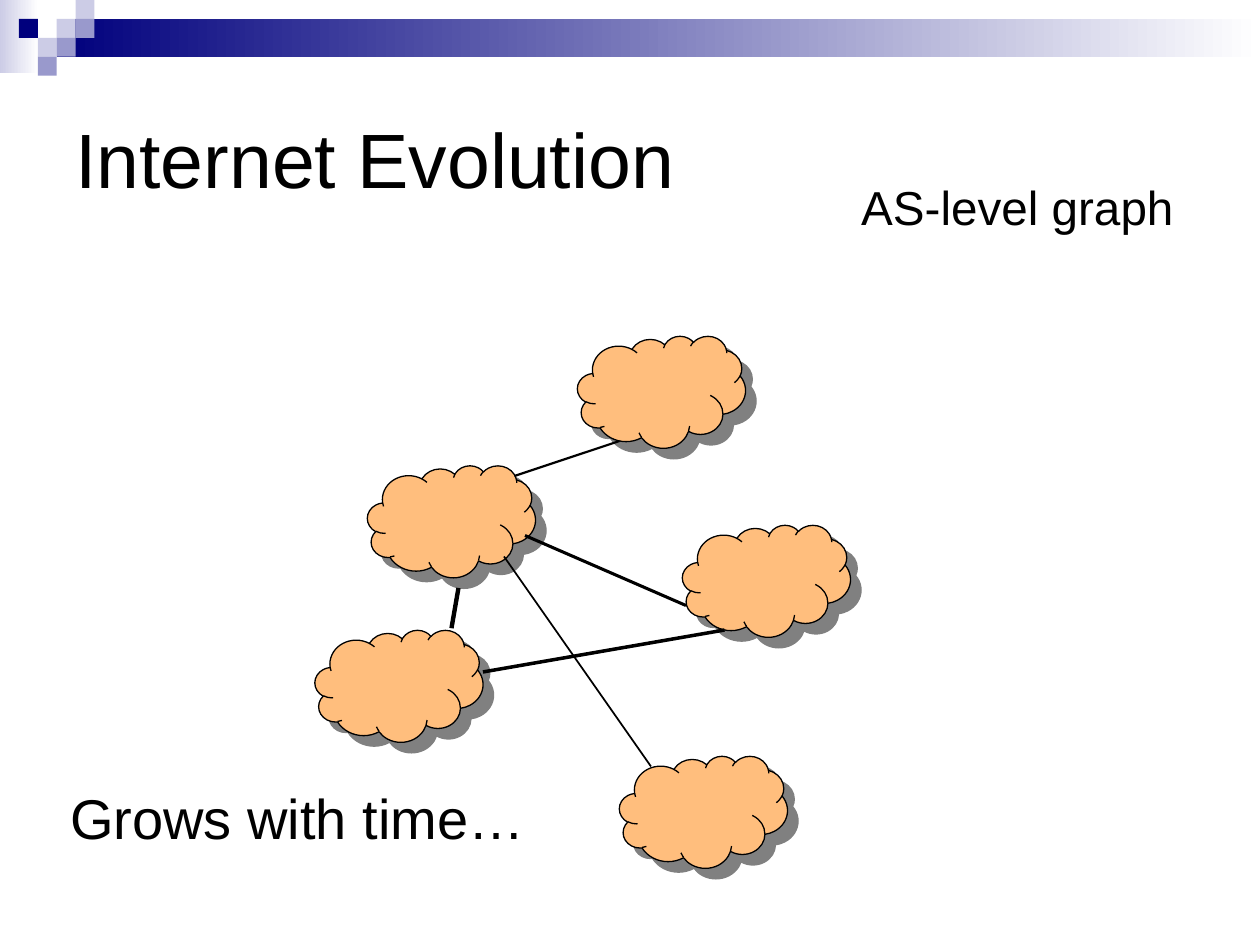
"""Build the Internet Evolution slide: an AS-level graph of linked clouds."""
from dataclasses import dataclass

from lxml.etree import SubElement
from pptx import Presentation
from pptx.dml.color import RGBColor
from pptx.enum.shapes import MSO_CONNECTOR, MSO_SHAPE
from pptx.enum.text import MSO_ANCHOR, PP_ALIGN
from pptx.oxml.ns import qn
from pptx.shapes.autoshape import Shape
from pptx.slide import Slide
from pptx.util import Pt


@dataclass(frozen=True)
class Theme:
    font: str = "Arial"
    ink: str = "000000"
    paper: str = "FFFFFF"
    navy: str = "00007D"
    lilac: str = "CCCCE6"
    violet: str = "9999CC"
    cloud: str = "FFBE7D"
    shadow: str = "808080"
    title_size: float = 44
    body_size: float = 32
    label_size: float = 27.2


@dataclass(frozen=True)
class Box:
    left: float
    top: float
    width: float
    height: float


@dataclass(frozen=True)
class Square:
    col: int
    row: int
    color: str


@dataclass(frozen=True)
class Cloud:
    left: float
    top: float


@dataclass(frozen=True)
class Link:
    x1: float
    y1: float
    x2: float
    y2: float
    weight: float


@dataclass(frozen=True)
class Label:
    text: str
    box: Box
    size: float
    align: PP_ALIGN = PP_ALIGN.LEFT
    anchor: MSO_ANCHOR = MSO_ANCHOR.TOP
    indent: int = 0
    before: float = 0
    spacing: float = 1.0


THEME = Theme()
UNIT = 10.8
CLOUD_W, CLOUD_H = 96, 64

GRADIENTS = [
    (Box(0, 0, 22, 42), THEME.lilac),
    (Box(3 * UNIT, UNIT, 720 - 3 * UNIT, 2 * UNIT), THEME.navy),
]
SQUARES = [
    Square(3, 1, THEME.lilac),
    Square(4, 0, THEME.lilac),
    Square(4, 1, THEME.violet),
    Square(2, 2, THEME.lilac),
    Square(1, 1, THEME.navy),
    Square(3, 2, THEME.violet),
    Square(2, 3, THEME.violet),
]
CLOUDS = [Cloud(210, 266), Cloud(330, 192), Cloud(180, 360), Cloud(390, 300), Cloud(354, 432)]
LINKS = [
    Link(294, 272, 354, 252, 1.25),
    Link(288, 318, 372, 438, 1),
    Link(300, 306, 392, 346, 1.75),
    Link(262, 336, 258, 359, 2.5),
    Link(276, 384, 414, 360, 2),
]
LABELS = [
    Label("Internet Evolution", Box(36, 36, 648, 108), THEME.title_size,
          anchor=MSO_ANCHOR.MIDDLE),
    Label("Grows with time…", Box(6, 444, 348, 84), THEME.body_size, indent=27, before=8),
    Label("AS-level graph", Box(444, 102, 252, 42), THEME.label_size,
          align=PP_ALIGN.CENTER, indent=23, before=8, spacing=0.9),
]


def rgb(color: str) -> RGBColor:
    """Turn a hex string into a colour."""
    return RGBColor.from_string(color)


def add_preset(s: Slide, kind: MSO_SHAPE, box: Box) -> Shape:
    """Add a preset shape without outline or shadow."""
    sp = s.shapes.add_shape(kind, Pt(box.left), Pt(box.top), Pt(box.width), Pt(box.height))
    sp.shadow.inherit = False
    sp.line.fill.background()
    return sp


def add_gradient(s: Slide, box: Box, color: str) -> None:
    """Add a rectangle that fades from a colour to the paper."""
    fill = add_preset(s, MSO_SHAPE.RECTANGLE, box).fill
    fill.gradient()
    fill.gradient_angle = 0
    for stop, tint in zip(fill.gradient_stops, (color, THEME.paper)):
        stop.color.rgb = rgb(tint)


def add_square(s: Slide, sq: Square) -> None:
    """Add one square of the corner mosaic."""
    box = Box(sq.col * UNIT, sq.row * UNIT, UNIT, UNIT)
    sp = add_preset(s, MSO_SHAPE.RECTANGLE, box)
    sp.fill.solid()
    sp.fill.fore_color.rgb = rgb(sq.color)


def add_cloud(s: Slide, cloud: Cloud) -> None:
    """Add a network cloud with a hard diagonal shadow."""
    sp = add_preset(s, MSO_SHAPE.CLOUD, Box(cloud.left, cloud.top, CLOUD_W, CLOUD_H))
    sp.fill.solid()
    sp.fill.fore_color.rgb = rgb(THEME.cloud)
    sp.line.color.rgb = rgb(THEME.ink)
    sp.line.width = Pt(0.75)
    effects = sp._element.spPr.find(qn("a:effectLst"))
    shadow = SubElement(effects, qn("a:outerShdw"), dist=str(Pt(8.5)),
                        dir=str(45 * 60000), algn="ctr", rotWithShape="0")
    SubElement(shadow, qn("a:srgbClr"), val=THEME.shadow)


def add_link(s: Slide, link: Link) -> None:
    """Add a straight line between two clouds."""
    cx = s.shapes.add_connector(MSO_CONNECTOR.STRAIGHT, Pt(link.x1), Pt(link.y1),
                                Pt(link.x2), Pt(link.y2))
    cx.line.color.rgb = rgb(THEME.ink)
    cx.line.width = Pt(link.weight)
    SubElement(cx._element.spPr, qn("a:effectLst"))


def add_label(s: Slide, label: Label) -> None:
    """Add a text box holding one paragraph."""
    box = label.box
    tf = s.shapes.add_textbox(Pt(box.left), Pt(box.top), Pt(box.width), Pt(box.height)).text_frame
    tf.word_wrap = True
    tf.vertical_anchor = label.anchor
    tf.text = label.text
    p = tf.paragraphs[0]
    p.alignment = label.align
    p.space_before = Pt(label.before)
    p.line_spacing = label.spacing
    p._p.get_or_add_pPr().set("marL", str(Pt(label.indent)))
    font = p.runs[0].font
    font.name = THEME.font
    font.size = Pt(label.size)
    font.color.rgb = rgb(THEME.ink)


def main() -> None:
    """Build and save the slide."""
    prs = Presentation()
    prs.slide_width, prs.slide_height = Pt(720), Pt(540)
    s = prs.slides.add_slide(prs.slide_layouts[6])
    for box, color in GRADIENTS:
        add_gradient(s, box, color)
    for draw, items in ((add_square, SQUARES), (add_cloud, CLOUDS),
                        (add_link, LINKS), (add_label, LABELS)):
        for item in items:
            draw(s, item)
    prs.save("out.pptx")


if __name__ == "__main__":
    main()
